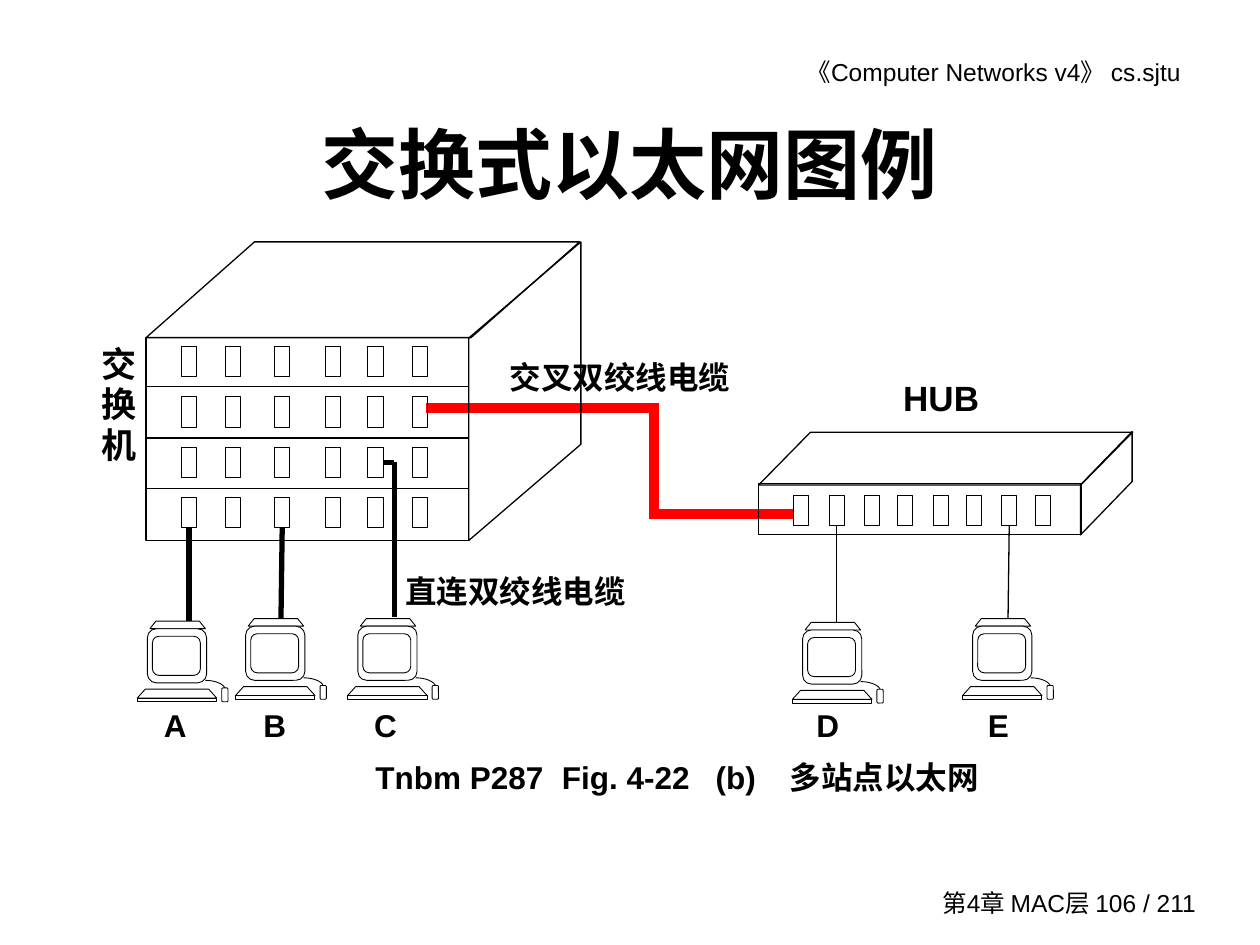
from lxml import etree
from pptx import Presentation
from pptx import util as u
from pptx.dml.color import RGBColor
from pptx.enum import shapes, text
from pptx.oxml.ns import qn

theme = {
    "ink": RGBColor(0, 0, 0), "paper": RGBColor(255, 255, 255), "cross": RGBColor(255, 0, 0),
    "font": "Arial", "serif": "Times New Roman",
    "title": 44, "name": 20, "label": 18, "note": 14,
    "thin": 0.5, "edge": 0.75, "cable": 3, "trunk": 6,
}
form, align, anchor = shapes.MSO_SHAPE, text.PP_ALIGN, text.MSO_ANCHOR

deck = Presentation()
deck.slide_width, deck.slide_height = u.Inches(10), u.Inches(7.5)
page = deck.slides.add_slide(deck.slide_layouts[5])
column, row = deck.slide_width / 100, deck.slide_height / 75


def draw(kind, left, top, width, height, line="thin", fill=None, adjust=None):
    shape = page.shapes.add_shape(kind, int(left * column), int(top * row),
                                  int(width * column), int(height * row))
    shape.shadow.inherit = False
    if fill:
        shape.fill.solid()
        shape.fill.fore_color.rgb = theme[fill]
    else:
        shape.fill.background()
    shape.line.color.rgb = theme["ink"]
    shape.line.width = u.Pt(theme[line])
    if adjust is not None:
        shape.adjustments[0] = adjust
    return shape


def write(words, place, box=None, size="label", font="font", bold=True, side=align.CENTER,
          middle=anchor.TOP, inset=(1, 0.5, 1, 0.5), spacing=None, tabs=()):
    left, top, width, height = (int(n * m) for n, m in zip(place, (column, row, column, row)))
    if box is None:
        box = page.shapes.add_textbox(left, top, width, height)
    box.left, box.top, box.width, box.height = left, top, width, height
    frame = box.text_frame
    frame.word_wrap, frame.auto_size = True, text.MSO_AUTO_SIZE.NONE
    frame.vertical_anchor = middle
    frame.margin_left, frame.margin_top, frame.margin_right, frame.margin_bottom = (
        int(n * column) for n in inset)
    para = frame.paragraphs[0]
    para.alignment = side
    if spacing:
        para.line_spacing = spacing
    if tabs:
        stops = etree.SubElement(para._p.get_or_add_pPr(), qn("a:tabLst"))
        for stop in tabs:
            etree.SubElement(stops, qn("a:tab"), pos=str(int(stop * column)), algn="l")
    span = para.add_run()
    span.text = words
    span.font.size, span.font.bold = u.Pt(theme[size]), bold
    span.font.name, span.font.color.rgb = theme[font], theme["ink"]


write("《Computer Networks v4》 cs.sjtu", (47.6, 4, 48.2, 3.4), size="note", bold=False,
      side=align.RIGHT, inset=(1, 0.5, 2.1, 0.5))
write("第4章 MAC层 106 / 211", (73, 70, 22.9, 3.3), size="note", bold=False,
      side=align.RIGHT, middle=anchor.MIDDLE)
write("交换式以太网图例", (7.5, 6.7, 85, 12.5), box=page.shapes.title, size="title",
      middle=anchor.MIDDLE, inset=(0.2, 0.1, 0.2, 0.1))

cables = {}
for name, x1, y1, x2, y2, color, width in (
        ("trunk to hub", 51.5, 40.8, 63, 40.8, "cross", "trunk"),
        ("trunk from switch", 33.8, 32.4, 52.3, 32.4, "cross", "trunk"),
        ("trunk drop", 51.9, 32, 51.9, 41.2, "cross", "trunk"),
        ("A", 15, 41.9, 15, 49.3, "ink", "cable"),
        ("B", 22.3, 41.9, 22.3, 49.1, "ink", "cable"),
        ("C drop", 31.3, 36.7, 31.3, 49, "ink", "cable"),
        ("C", 30.4, 36.7, 31.3, 36.7, "ink", "cable"),
        ("D", 66.4, 41.7, 66.4, 49.4, "ink", "edge"),
        ("E", 80, 41.7, 80, 49.3, "ink", "edge")):
    cable = page.shapes.add_connector(shapes.MSO_CONNECTOR.STRAIGHT, int(x1 * column),
                                      int(y1 * row), int(x2 * column), int(y2 * row))
    cable.line.color.rgb, cable.line.width = theme[color], u.Pt(theme[width])
    etree.SubElement(cable._element.spPr, qn("a:effectLst"))
    cables[name] = cable

curve = [((1 - t) ** 3 * 5.4 + 3 * (1 - t) ** 2 * t * 6.2 + 3 * (1 - t) * t ** 2 * 6.9 + t ** 3 * 7,
          (1 - t) ** 3 * 4.7 + 3 * (1 - t) ** 2 * t * 4.7 + 3 * (1 - t) * t ** 2 * 5 + t ** 3 * 5.4)
         for t in (n / 8 for n in range(9))]
parts = (
    (form.ROUNDED_RECTANGLE, 6.7, 5.3, 0.5, 1.1, 0.2),
    (form.TRAPEZOID, 0, 5.4, 6.3, 0.7, 0.9),
    (form.RECTANGLE, 0, 6.1, 6.3, 0.3, None),
    (form.TRAPEZOID, 1, 0, 4.4, 0.6, 0.8),
    (form.ROUNDED_RECTANGLE, 0.8, 0.6, 4.7, 4.3, 0.165),
    (form.ROUNDED_RECTANGLE, 1.2, 1.2, 3.8, 3.1, 0.165),
)
for left, top in ((10.9, 49.3), (18.7, 49.1), (27.6, 49.1), (62.9, 49.4), (76.4, 49.1)):
    points = [(int((left + x) * column), int((top + y) * row)) for x, y in curve]
    builder = page.shapes.build_freeform(*points[0])
    builder.add_line_segments(points[1:], close=False)
    cord = builder.convert_to_shape()
    cord.shadow.inherit = False
    cord.fill.background()
    cord.line.color.rgb, cord.line.width = theme["ink"], u.Pt(theme["thin"])
    for kind, x, y, width, height, adjust in parts:
        draw(kind, left + x, top + y, width, height, fill="paper", adjust=adjust)

draw(form.RECTANGLE, 11.6, 26.8, 25.6, 16.1, "edge")
for shelf in (30.7, 34.7):
    draw(form.RECTANGLE, 11.6, shelf, 25.6, 4.1, "edge")
draw(form.RECTANGLE, 60.2, 38.4, 25.6, 4, "edge")
draw(form.PARALLELOGRAM, 11.6, 19.2, 34.4, 7.6, "edge", adjust=1.133)
draw(form.PARALLELOGRAM, 60.2, 34.3, 29.7, 4.2, "edge", adjust=0.984)
for place, slant in (((29.8, 26.6, 23.7, 8.9), 0.858), ((83.7, 36.3, 8.2, 4.1), 1.033)):
    side = draw(form.PARALLELOGRAM, *place, "edge", adjust=slant)
    side.rotation = 90
    side._element.spPr.find(qn("a:xfrm")).set("flipV", "1")

switch_ports = [[draw(form.RECTANGLE, left, 27.5 + 4 * shelf, 1.2, 2.4)
                 for left in (14.4, 17.9, 21.8, 25.8, 29.2, 32.7)] for shelf in range(4)]
hub_ports = [draw(form.RECTANGLE, left, 39.3, 1.2, 2.4)
             for left in (63, 65.8, 68.6, 71.2, 74.1, 76.7, 79.5, 82.2)]
for name, port, site in (("A", switch_ports[3][0], 2), ("B", switch_ports[3][2], 2),
                         ("C", switch_ports[2][4], 3), ("D", hub_ports[1], 2),
                         ("E", hub_ports[6], 2)):
    cables[name].begin_connect(port, site)

tight = (0.4, 0, 0.4, 0)
write("A\tB\tC\tD\tE", (12.6, 56.2, 71.8, 3.4), side=align.LEFT, inset=tight, spacing=0.96,
      tabs=(7.9, 16.7, 51.8, 65.4))
write("HUB", (70.9, 29.9, 7.6, 4.5), size="name", inset=tight)
write("交换机", (7.2, 27.4, 4.5, 12.1), size="name", font="serif", inset=tight, spacing=0.96)
write("交叉双绞线电缆", (38.2, 27.9, 22, 4))
write("直连双绞线电缆", (29.9, 44.9, 22, 4))
write("Tnbm P287\tFig. 4-22\t(b)\t多站点以太网", (21.1, 59.7, 65.3, 4), side=align.LEFT,
      inset=(8.7, 0.5, 1, 0.5), tabs=(14.8, 27, 32.9))

deck.save("out.pptx")
